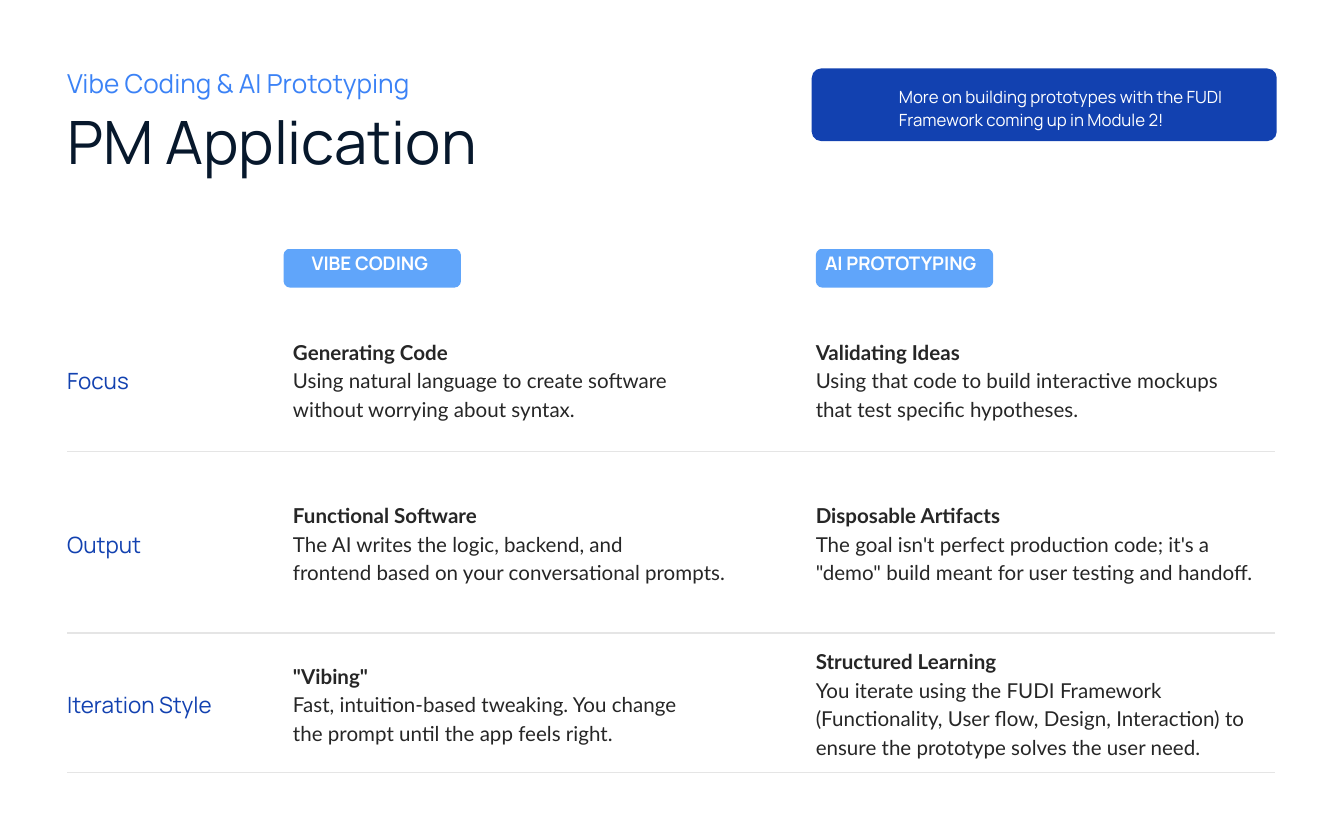
from lxml.etree import SubElement
from pptx import Presentation
from pptx.dml.color import RGBColor
from pptx.enum.shapes import MSO_SHAPE
from pptx.enum.text import MSO_ANCHOR
from pptx.oxml.ns import qn
from pptx.util import Inches, Pt

COLORS = {
    "navy": "07182C",
    "royal": "1241B0",
    "blue": "3B82F6",
    "sky": "60A5FA",
    "text": "262626",
    "rule": "E5E5E5",
    "white": "FFFFFF",
}


def style(para, font, size, color, spacing):
    para.line_spacing = spacing
    para.font.name = font
    para.font.size = Pt(size)
    para.font.color.rgb = RGBColor.from_string(COLORS[color])


def set_border(cell, position, side, color):
    line = SubElement(cell._tc.get_or_add_tcPr(), qn(f"a:{side}"), w=str(Pt(0.75)))
    cell._tc.tcPr.insert(position, line)
    if color:
        fill = SubElement(line, qn("a:solidFill"))
        SubElement(fill, qn("a:srgbClr"), val=COLORS[color])
    else:
        SubElement(line, qn("a:noFill"))


deck = Presentation()
deck.slide_width = Inches(10)
deck.slide_height = Inches(6.25)
page = deck.slides.add_slide(deck.slide_layouts[6])

panels = [
    (2.11, 1.85, 1.32, 0.29, 0.167, "sky"),
    (6.07, 1.85, 1.32, 0.29, 0.167, "sky"),
    (6.04, 0.51, 3.46, 0.54, 0.129, "royal"),
]
for left, top, width, height, radius, color in panels:
    panel = page.shapes.add_shape(
        MSO_SHAPE.ROUNDED_RECTANGLE, Inches(left), Inches(top), Inches(width), Inches(height))
    panel.adjustments[0] = radius
    panel.shadow.inherit = False
    panel.fill.solid()
    panel.fill.fore_color.rgb = RGBColor.from_string(COLORS[color])
    panel.line.fill.background()

rows = [
    ("Focus",
     ["Generating Code", "Using natural language to create software",
      "without worrying about syntax."],
     ["Validating Ideas", "Using that code to build interactive mockups",
      "that test specific hypotheses."]),
    ("Output",
     ["Functional Software", "The AI writes the logic, backend, and",
      "frontend based on your conversational prompts."],
     ["Disposable Artifacts", "The goal isn't perfect production code; it's a",
      "\"demo\" build meant for user testing and handoff."]),
    ("Iteration Style",
     ["\"Vibing\"", "Fast, intuition-based tweaking. You change",
      "the prompt until the app feels right."],
     ["Structured Learning", "You iterate using the FUDI Framework",
      "(Functionality, User flow, Design, Interaction) to",
      "ensure the prototype solves the user need."]),
]
column_widths = [1.58, 3.89, 3.52]
row_heights = [0.43, 1.08, 1.35, 1.04]
table = page.shapes.add_table(
    len(row_heights), len(column_widths), Inches(0.5), Inches(1.85),
    Inches(sum(column_widths)), Inches(sum(row_heights))).table
table.first_row = False
table.horz_banding = False
for column, width in zip(table.columns, column_widths):
    column.width = Inches(width)
for row, height in zip(table.rows, row_heights):
    row.height = Inches(height)

for row_index, row in enumerate(table.rows):
    top_color = "rule" if row_index > 1 else "white"
    bottom_color = "rule" if row_index > 0 else "white"
    for column_index, cell in enumerate(row.cells):
        cell.fill.background()
        cell.vertical_anchor = MSO_ANCHOR.MIDDLE
        cell.margin_left = Inches(0.1 if column_index else 0)
        cell.margin_right = cell.margin_top = cell.margin_bottom = 0
        borders = [("lnL", None), ("lnR", None), ("lnT", top_color), ("lnB", bottom_color)]
        for position, (side, color) in enumerate(borders):
            set_border(cell, position, side, color)
        if row_index == 0:
            continue
        content = rows[row_index - 1][column_index]
        para = cell.text_frame.paragraphs[0]
        if column_index == 0:
            para.text = content
            style(para, "Manrope", 12, "royal", 1.15)
            continue
        style(para, "Lato", 11, "text", 1.15)
        for line_index, line in enumerate(content):
            if line_index:
                para.add_line_break()
            span = para.add_run()
            span.text = line
            span.font.bold = line_index == 0

texts = [
    ("Vibe Coding & AI Prototyping", 0.5, 0.5, 9, 0.24, 0, 14, "blue", 1, False),
    ("PM Application", 0.5, 0.88, 9, 0.43, 0, 32, "navy", 0.8, False),
    ("More on building prototypes with the FUDI Framework coming up in Module 2!",
     6.59, 0.52, 2.75, 0.47, 0.1, 9, "white", 1.15, False),
    ("VIBE CODING", 2.22, 1.82, 1.38, 0.35, 0.1, 10, "white", 0.9, True),
    ("AI PROTOTYPING", 6.04, 1.82, 1.38, 0.54, 0.1, 10, "white", 0.9, True),
]
for text, left, top, width, height, inset, size, color, spacing, bold in texts:
    box = page.shapes.add_textbox(Inches(left), Inches(top), Inches(width), Inches(height))
    frame = box.text_frame
    frame.word_wrap = True
    frame.vertical_anchor = MSO_ANCHOR.TOP if inset else MSO_ANCHOR.MIDDLE
    frame.margin_left = frame.margin_right = Inches(inset)
    frame.margin_top = frame.margin_bottom = Inches(inset)
    para = frame.paragraphs[0]
    para.text = text
    style(para, "Manrope", size, color, spacing)
    para.font.bold = bold

deck.save("out.pptx")
